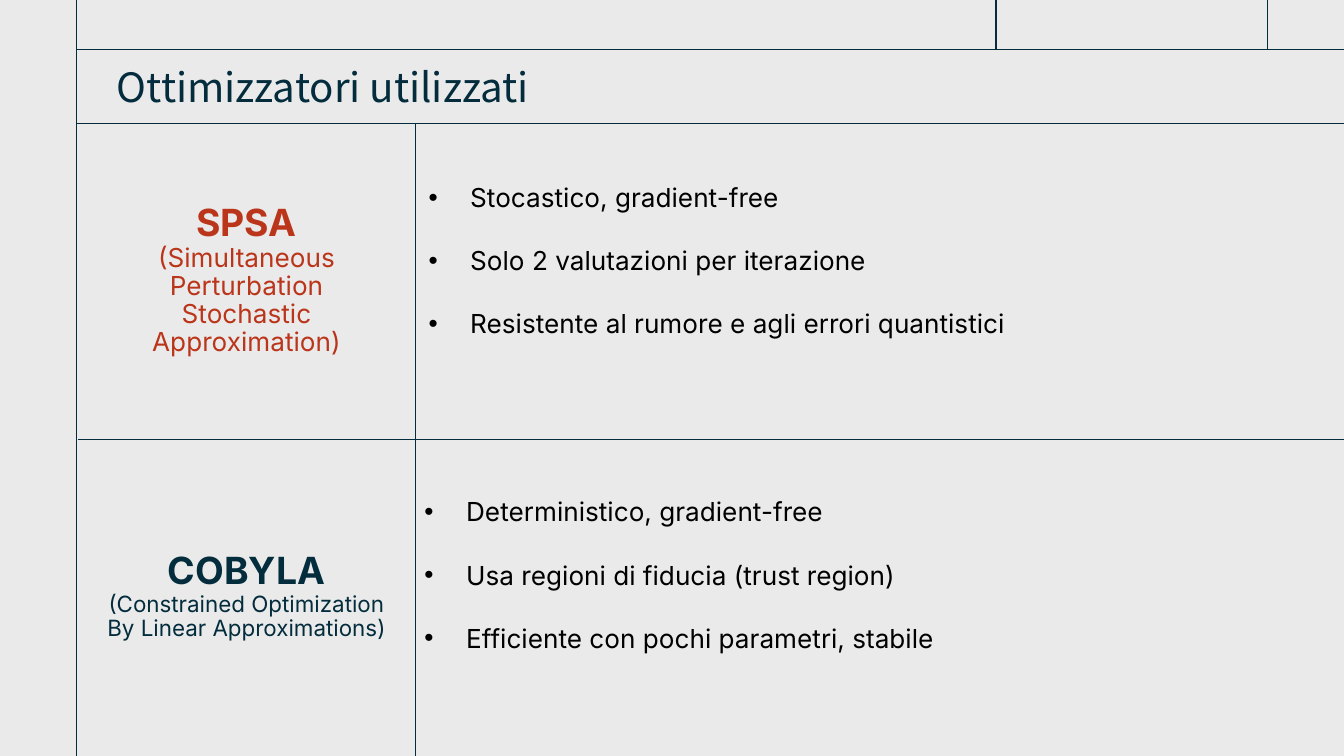
"""Build a slide that sets out the two optimizers used, SPSA and COBYLA."""
from lxml import etree
from pptx import Presentation, util as u
from pptx.dml.color import RGBColor
from pptx.enum import shapes, text
from pptx.oxml.ns import qn

HUES = {"back": "EAEAEA", "navy": "032C3C", "red": "BA351A", "black": "000000"}
FACE = "Inter"


def style(font, size, hue, face=FACE):
    font.name = face
    font.color.rgb = RGBColor.from_string(HUES[hue])
    if size:
        font.size = u.Pt(size)


def frame(shape, left, top, width, height, side, edge):
    shape.left, shape.top = u.Inches(left), u.Inches(top)
    shape.width, shape.height = u.Inches(width), u.Inches(height)
    body = shape.text_frame
    body.word_wrap = True
    body.auto_size = text.MSO_AUTO_SIZE.NONE
    body.margin_left, body.margin_right = u.Inches(side), u.Inches(edge)
    return body


deck = Presentation()
deck.slide_width, deck.slide_height = u.Inches(10), u.Inches(5.625)
slide = deck.slides.add_slide(deck.slide_layouts[5])
slide.background.fill.solid()
slide.background.fill.fore_color.rgb = RGBColor.from_string(HUES["back"])

left, split, right, base = 0.57, 3.09, 10, 5.625
head, top, mid = 0.37, 0.92, 3.27

lines = [
    (7.41, 0, 7.41, head),
    (9.43, 0, 9.43, head),
    (split, top, split, base),
    (left, 0, left, base),
    (left, head, right, head),
    (left, top, right, top),
    (0.58, mid, right, mid),
]
for ends in lines:
    line = slide.shapes.add_connector(
        shapes.MSO_CONNECTOR.STRAIGHT, *[u.Inches(end) for end in ends])
    line.line.width = u.Pt(0.75)
    line.line.color.rgb = RGBColor.from_string(HUES["navy"])
    etree.SubElement(line._element.spPr, qn("a:effectLst"))

title = frame(slide.shapes.title, left, head, 8.86, 0.55, 0.3, 0.1)
title.margin_top = title.margin_bottom = u.Inches(0.1)
title.vertical_anchor = text.MSO_ANCHOR.MIDDLE
title.text = "Ottimizzatori utilizzati"
para = title.paragraphs[0]
para.alignment = text.PP_ALIGN.LEFT
style(para.font, 21.6, "navy", "Noto Sans CJK KR")

rows = [
    ("SPSA", "(Simultaneous Perturbation Stochastic Approximation)", 14, "red", top,
     (split, 1.3, 6.91, 1.51),
     ["Stocastico, gradient-free",
      "Solo 2 valutazioni per iterazione",
      "Resistente al rumore e agli errori quantistici"]),
    ("COBYLA", "(Constrained Optimization By Linear Approximations)", 12, "navy", mid,
     (3.06, 3.64, 6.91, 1.28),
     ["Deterministico, gradient-free",
      "Usa regioni di fiducia (trust region)",
      "Efficiente con pochi parametri, stabile"]),
]
for name, full, size, hue, y, spot, points in rows:
    label = frame(slide.shapes.add_textbox(0, 0, 0, 0), left, y, 2.53, 2.34, 0.2, 0.2)
    label.margin_top = label.margin_bottom = u.Inches(0.1)
    label.vertical_anchor = text.MSO_ANCHOR.MIDDLE
    para = label.paragraphs[0]
    para.alignment = text.PP_ALIGN.CENTER
    para.line_spacing = 0.9
    style(para.font, None, hue)
    short = para.add_run()
    short.text = name
    short.font.size, short.font.bold = u.Pt(20), True
    para.add_line_break()
    long = para.add_run()
    long.text = full
    long.font.size = u.Pt(size)

    notes = frame(slide.shapes.add_textbox(0, 0, 0, 0), *spot, 0.1, 0.1)
    for i, point in enumerate(points):
        para = notes.paragraphs[0] if i == 0 else notes.add_paragraph()
        para.text = point
        if i:
            para.space_before = u.Pt(17)
        props = para._p.get_or_add_pPr()
        props.set("marL", str(u.Inches(0.31)))
        props.set("indent", str(u.Inches(-0.31)))
        etree.SubElement(props, qn("a:buFont"), typeface="Arial")
        etree.SubElement(props, qn("a:buChar"), char="•")
        style(para.font, 14, "black")

deck.save("out.pptx")
